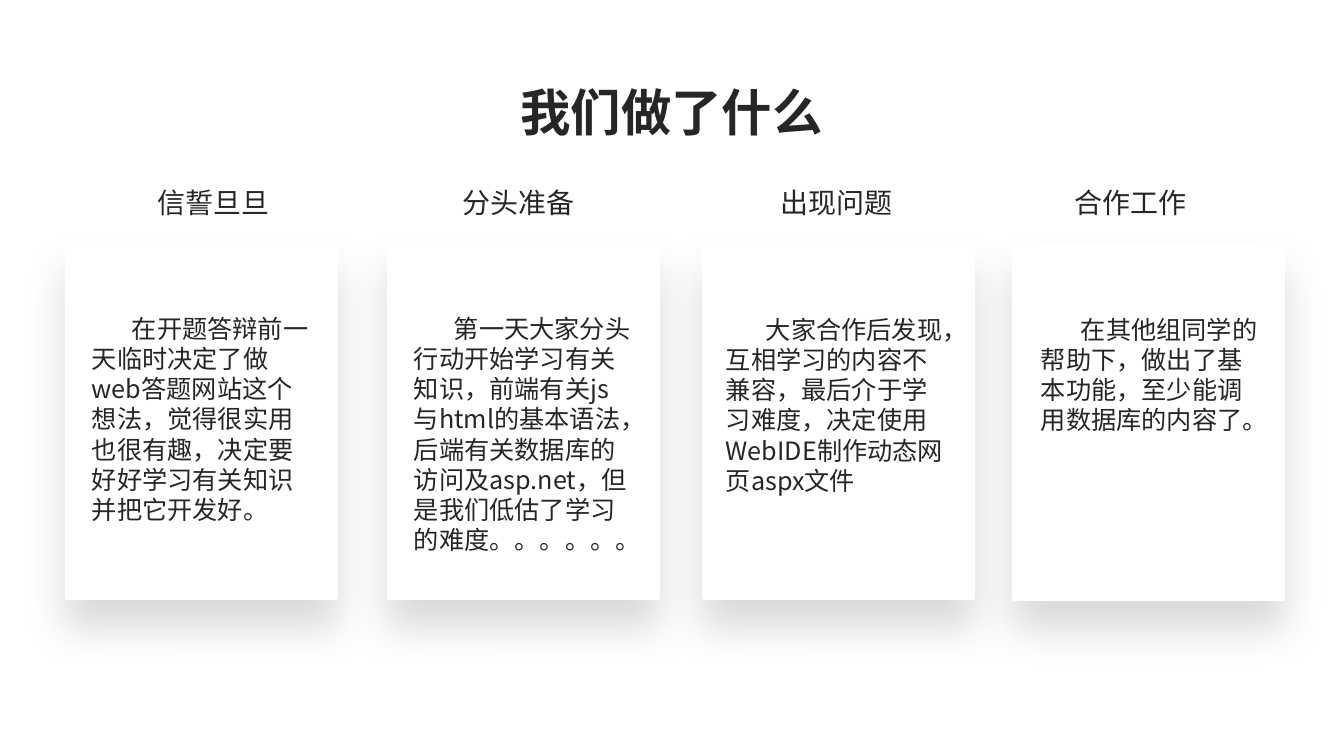
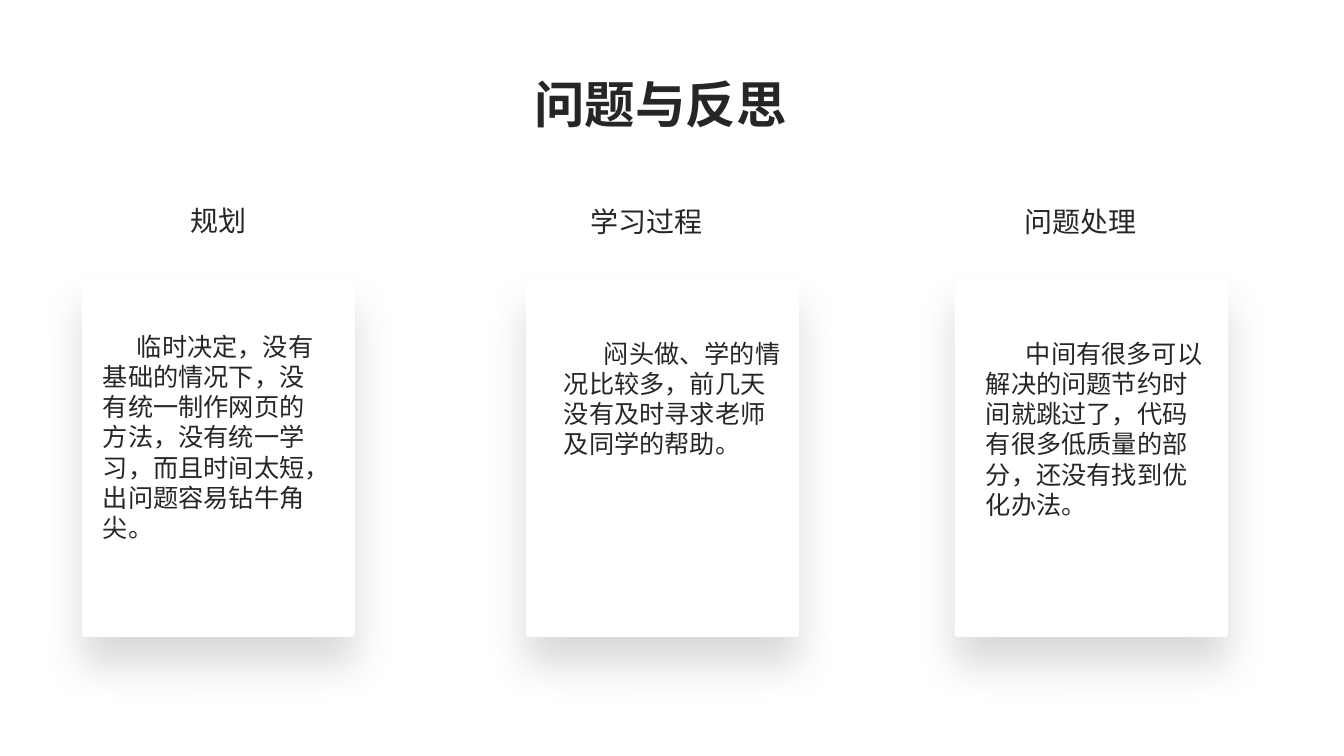
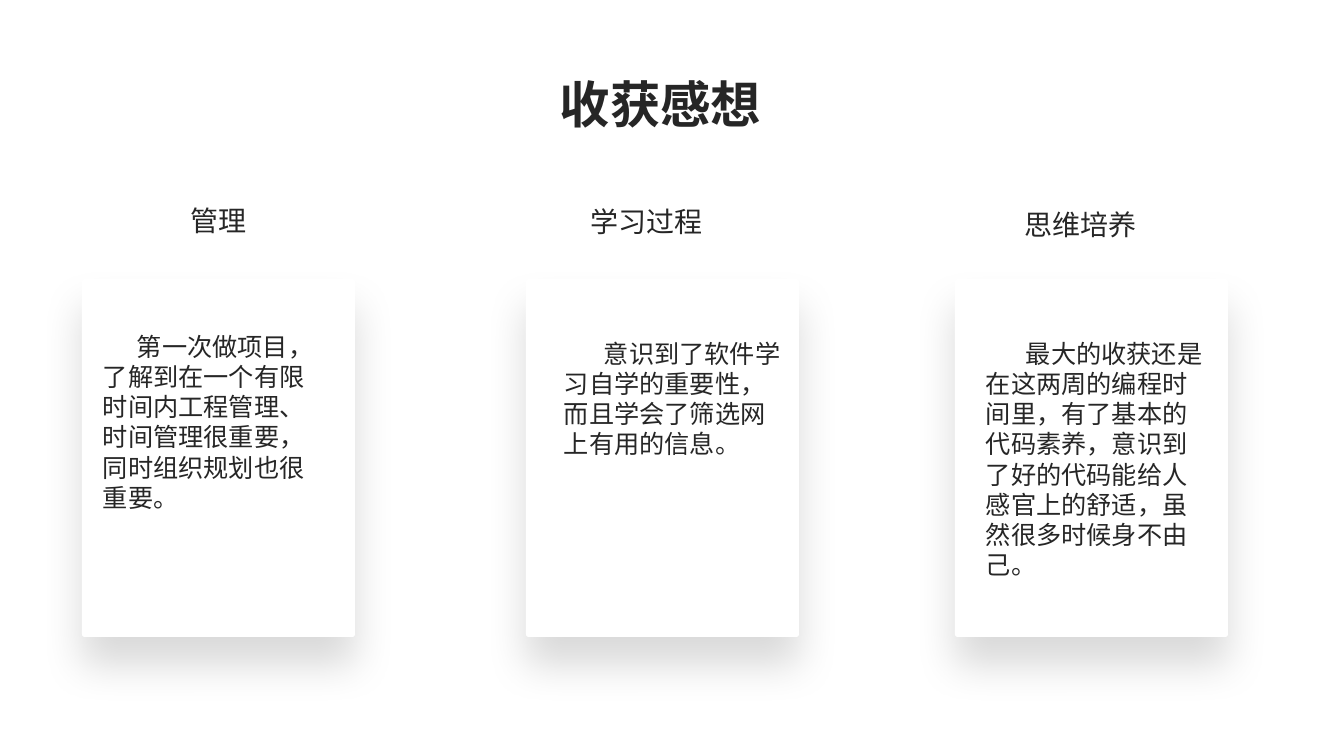
"""Build three slides of headed text cards about a student web project."""
from lxml.etree import SubElement
from pptx import Presentation
from pptx.dml.color import RGBColor
from pptx.enum.shapes import MSO_SHAPE as Shape
from pptx.enum.text import MSO_ANCHOR as Anchor, MSO_AUTO_SIZE as AutoSize, PP_ALIGN as Align
from pptx.oxml.ns import qn
from pptx.util import Pt

PX = 914400 / 100.8
INK = RGBColor(0x26, 0x26, 0x26)
WHITE = RGBColor(0xFF, 0xFF, 0xFF)
HEAD_FONT = "Noto Sans CJK JP"
BODY_FONT = "Noto Sans CJK SC"
CARD_SIZE = (273, 358)
TITLE_SIZE = (1069, 58)
HEADING_SIZE = (293, 147)
BODY_WIDTH = 239
LINE_HEIGHT = 30
BODY_PADDING = 13


def px(*lengths):
    return [round(length * PX) for length in lengths]


def add_text(slide, box, wording, font, size, bold=False, align=Align.LEFT, spacing=None, indent=0):
    frame = slide.shapes.add_textbox(*px(*box)).text_frame
    frame.word_wrap = True
    paragraph = frame.paragraphs[0]
    paragraph.text = wording
    paragraph.alignment = align
    paragraph.line_spacing = spacing
    paragraph.font.name = font
    paragraph.font.size = Pt(size)
    paragraph.font.bold = bold
    paragraph.font.color.rgb = INK
    properties = paragraph._p.get_or_add_pPr()
    properties.set("indent", str(px(indent)[0]))
    SubElement(properties.find(qn("a:defRPr")), qn("a:ea"), typeface=font)
    return frame


FOUR_COLUMNS = [
    ((65, 242), (67, 187), (82, 308), 40),
    ((387, 242), (372, 187), (404, 308), 40),
    ((702, 242), (690, 187), (716, 309), 40),
    ((1012, 243), (984, 187), (1031, 309), 40),
]
THREE_COLUMNS = [
    ((82, 279), (72, 205), (93, 326), 34),
    ((526, 279), (500, 206), (554, 333), 40),
    ((955, 279), (934, 206), (976, 333), 40),
]
PAGES = [
    ("我们做了什么", (137, 90), FOUR_COLUMNS, [
        ("信誓旦旦", 7, "在开题答辩前一天临时决定了做web答题网站这个想法，觉得很实用也很有趣，"
                   "决定要好好学习有关知识并把它开发好。"),
        ("分头准备", 8, "第一天大家分头行动开始学习有关知识，前端有关js与html的基本语法，"
                   "后端有关数据库的访问及asp.net，但是我们低估了学习的难度。。。。。。"),
        ("出现问题", 6, "大家合作后发现，互相学习的内容不兼容，最后介于学习难度，"
                   "决定使用WebIDE制作动态网页aspx文件"),
        ("合作工作", 5, "在其他组同学的帮助下，做出了基本功能，至少能调用数据库的内容了。"),
    ]),
    ("问题与反思", (126, 82), THREE_COLUMNS, [
        ("规划", 7, "临时决定，没有基础的情况下，没有统一制作网页的方法，没有统一学习，"
                 "而且时间太短，出问题容易钻牛角尖。"),
        ("学习过程", 4, "闷头做、学的情况比较多，前几天没有及时寻求老师及同学的帮助。"),
        ("问题处理", 6, "中间有很多可以解决的问题节约时间就跳过了，代码有很多低质量的部分，"
                   "还没有找到优化办法。"),
    ]),
    ("收获感想", (126, 82), THREE_COLUMNS[:2] + [((955, 279), (934, 209), (976, 333), 40)], [
        ("管理", 6, "第一次做项目，了解到在一个有限时间内工程管理、时间管理很重要，"
                 "同时组织规划也很重要。"),
        ("学习过程", 4, "意识到了软件学习自学的重要性，而且学会了筛选网上有用的信息。"),
        ("思维培养", 8, "最大的收获还是在这两周的编程时间里，有了基本的代码素养，"
                   "意识到了好的代码能给人感官上的舒适，虽然很多时候身不由己。"),
    ]),
]

deck = Presentation()
deck.slide_width, deck.slide_height = px(1344, 756)

for title, title_at, columns, topics in PAGES:
    slide = deck.slides.add_slide(deck.slide_layouts[6])
    title_frame = add_text(slide, title_at + TITLE_SIZE, title, HEAD_FONT, 36,
                           bold=True, align=Align.CENTER, spacing=0.7)
    title_frame.vertical_anchor = Anchor.MIDDLE

    for (card_at, heading_at, body_at, indent), (heading, lines, body) in zip(columns, topics):
        card = slide.shapes.add_shape(Shape.ROUNDED_RECTANGLE, *px(*card_at, *CARD_SIZE))
        card.adjustments[0] = 0.01
        card.fill.solid()
        card.fill.fore_color.rgb = WHITE
        card.line.fill.background()
        card.shadow.inherit = False
        effects = card._element.spPr.find(qn("a:effectLst"))
        shadow = SubElement(effects, qn("a:outerShdw"), blurRad=str(Pt(30)), dist=str(Pt(20)),
                            dir="5400000", algn="t", rotWithShape="0")
        shade = SubElement(shadow, qn("a:srgbClr"), val="000000")
        SubElement(shade, qn("a:alpha"), val="15000")

        add_text(slide, heading_at + HEADING_SIZE, heading, HEAD_FONT, 20,
                 align=Align.CENTER, spacing=0.8)
        body_size = (BODY_WIDTH, LINE_HEIGHT * lines + BODY_PADDING)
        body_frame = add_text(slide, body_at + body_size, body, BODY_FONT, 18, indent=indent)
        body_frame.auto_size = AutoSize.SHAPE_TO_FIT_TEXT

deck.save("out.pptx")
